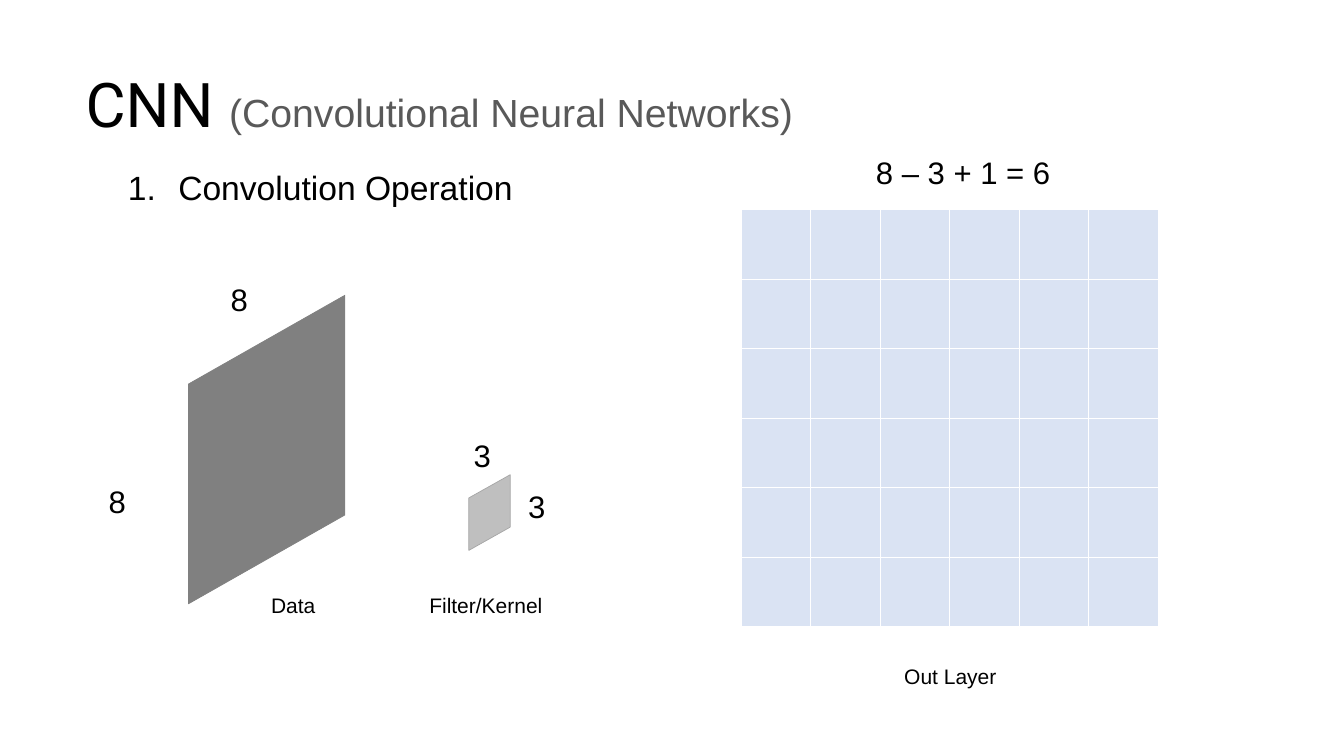
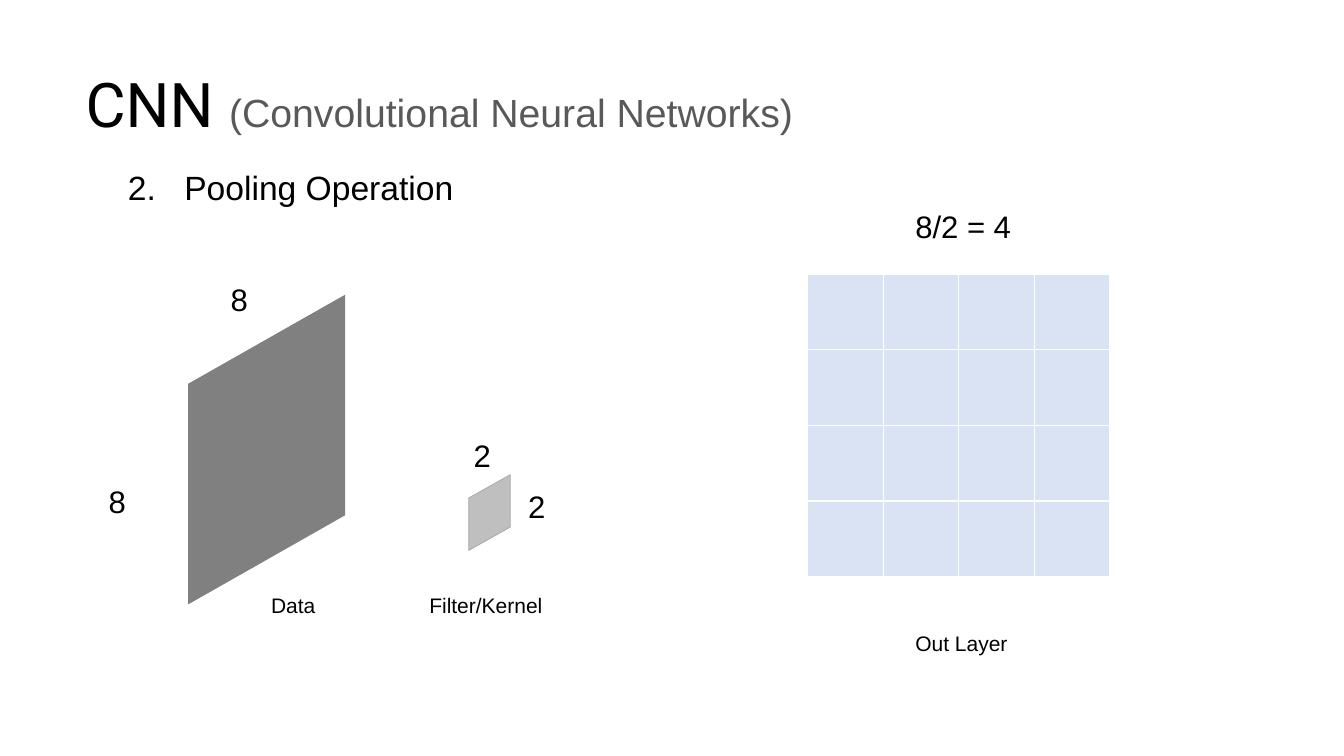
from lxml import etree
from pptx import Presentation
from pptx.dml.color import RGBColor
from pptx.enum.text import MSO_ANCHOR as Anchor, MSO_AUTO_SIZE as AutoSize, PP_ALIGN as Align
from pptx.oxml.ns import qn
from pptx.util import Pt

PX = 9144  # EMU per px, 100 px to the inch
SLIDE_WIDTH, SLIDE_HEIGHT = 1333, 750
TITLE_ONLY = 5

BLACK = RGBColor(0x00, 0x00, 0x00)
WHITE = RGBColor(0xFF, 0xFF, 0xFF)
SUBTITLE_GREY = RGBColor(0x59, 0x59, 0x59)
DATA_GREY = RGBColor(0x80, 0x80, 0x80)
KERNEL_GREY = RGBColor(0xBF, 0xBF, 0xBF)
EDGE_GREY = RGBColor(0xA6, 0xA6, 0xA6)
CELL_BLUE = RGBColor(0xDA, 0xE3, 0xF3)

BODY_FONT, TITLE_FONT = "Arial", "Roboto"
HEADING_SIZE, NUMBER_SIZE, CAPTION_SIZE = 24, 22.2, 15
NUMBER_BOX, CAPTION_BOX = (200, 66), (144, 66)


def emu(*lengths):
    return [round(length * PX) for length in lengths]


def style_font(font, name, size, color):
    font.name, font.size = name, Pt(size)
    font.color.rgb = color


def add_text(slide, left, top, box, text, size, spacing=1.5):
    """Place one line of text and return its paragraph."""
    frame = slide.shapes.add_textbox(*emu(left, top, *box)).text_frame
    frame.word_wrap = True
    paragraph = frame.paragraphs[0]
    paragraph.text = text
    paragraph.line_spacing = spacing
    paragraph.space_before = Pt(10)
    style_font(paragraph.font, BODY_FONT, size, BLACK)
    return paragraph


def add_title(slide):
    title = slide.shapes.title
    title.left, title.top, title.width, title.height = emu(75, 34, 1150, 145)
    frame = title.text_frame
    frame.word_wrap, frame.auto_size = True, AutoSize.NONE
    frame.vertical_anchor = Anchor.MIDDLE
    paragraph = frame.paragraphs[0]
    paragraph.alignment = Align.LEFT
    paragraph.line_spacing = 0.9
    for text, name, size, color in (
        ("CNN ", TITLE_FONT, 44, BLACK),
        ("(Convolutional Neural Networks)", BODY_FONT, 28, SUBTITLE_GREY),
    ):
        run = paragraph.add_run()
        run.text = text
        style_font(run.font, name, size, color)


def add_heading(slide, number, text, indent):
    paragraph = add_text(slide, 117, 141, (843, 137), text, HEADING_SIZE)
    properties = paragraph._p.get_or_add_pPr()
    properties.set("marL", str(indent * PX))
    properties.set("indent", str(-indent * PX))
    bullet = etree.Element(qn("a:buAutoNum"), type="arabicPeriod", startAt=str(number))
    properties.find(qn("a:spcBef")).addnext(bullet)


def add_plane(slide, left, top, width, side, rise, color):
    """Draw a square seen from the side, its right edge raised."""
    right, bottom = left + width, top + rise + side
    builder = slide.shapes.build_freeform(left, top + rise, scale=PX)
    builder.add_line_segments([(right, top), (right, top + side), (left, bottom)])
    plane = builder.convert_to_shape()
    plane.shadow.inherit = False
    plane.fill.solid()
    plane.fill.fore_color.rgb = color
    plane.line.color.rgb = EDGE_GREY if color == KERNEL_GREY else color
    plane.line.width = Pt(0.5)


def add_data(slide, left, top):
    add_plane(slide, left, top, 155, 218, 88, DATA_GREY)
    add_text(slide, left + 32, top - 38, NUMBER_BOX, "8", NUMBER_SIZE)
    add_text(slide, left - 89, top + 162, NUMBER_BOX, "8", NUMBER_SIZE)
    add_text(slide, left + 72, top + 277, CAPTION_BOX, "Data", CAPTION_SIZE)


def add_kernel(slide, left, top, side):
    add_plane(slide, left, top, 41, 52, 23, KERNEL_GREY)
    add_text(slide, left - 5, top - 61, NUMBER_BOX, side, NUMBER_SIZE)
    add_text(slide, left + 49, top - 11, NUMBER_BOX, side, NUMBER_SIZE)
    add_text(slide, left - 49, top + 104, CAPTION_BOX, "Filter/Kernel", CAPTION_SIZE, 1.3)


def format_cell(cell):
    cell.fill.solid()
    cell.fill.fore_color.rgb = CELL_BLUE
    properties = cell._tc.get_or_add_tcPr()
    for position, edge in enumerate(("a:lnL", "a:lnR", "a:lnT", "a:lnB")):
        line = etree.Element(qn(edge), w=str(Pt(1)))
        fill = etree.SubElement(line, qn("a:solidFill"))
        etree.SubElement(fill, qn("a:srgbClr"), val=str(WHITE))
        properties.insert(position, line)


def add_out_layer(slide, left, top, count, cell_size, formula, formula_offset, caption_offset):
    """Draw the output grid; both offsets are measured from its top left corner."""
    size = count * cell_size
    table = slide.shapes.add_table(count, count, *emu(left, top, size, size)).table
    table.first_row = table.horz_banding = False
    for line in (*table.columns, *table.rows):
        if line in table.columns:
            line.width = cell_size * PX
        else:
            line.height = cell_size * PX
    for cell in table.iter_cells():
        format_cell(cell)
    for (across, down), box, text, text_size in (
        (formula_offset, NUMBER_BOX, formula, NUMBER_SIZE),
        (caption_offset, CAPTION_BOX, "Out Layer", CAPTION_SIZE),
    ):
        add_text(slide, left + across, top + down, box, text, text_size)


def add_operation_slide(presentation, heading, kernel_side, out_layer):
    slide = presentation.slides.add_slide(presentation.slide_layouts[TITLE_ONLY])
    add_title(slide)
    add_heading(slide, *heading)
    add_data(slide, 187, 293)
    add_kernel(slide, 465, 471, kernel_side)
    add_out_layer(slide, *out_layer)


def main():
    presentation = Presentation()
    presentation.slide_width, presentation.slide_height = emu(SLIDE_WIDTH, SLIDE_HEIGHT)
    # Convolution
    add_operation_slide(
        presentation, (1, "Convolution Operation", 50), "3",
        (735, 208, 6, 69, "8 – 3 + 1 = 6", (124, -79), (152, 433)),
    )
    # Pooling
    add_operation_slide(
        presentation, (2, "Pooling Operation", 56), "2",
        (801, 272, 4, 75, "8/2 = 4", (97, -90), (97, 336)),
    )
    presentation.save("out.pptx")


if __name__ == "__main__":
    main()
